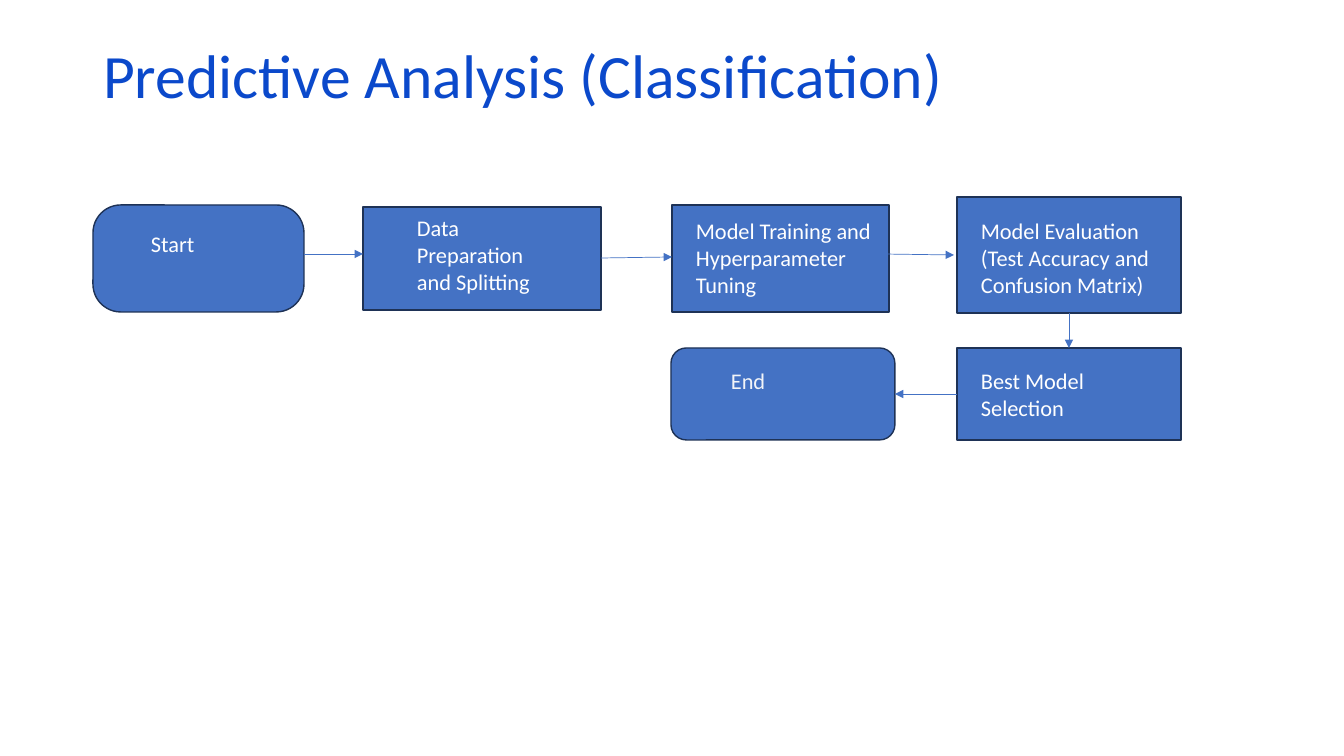
from dataclasses import dataclass

from pptx import Presentation
from pptx import util as u
from pptx.dml.color import RGBColor
from pptx.enum import shapes, text
from pptx.oxml import ns
from lxml import etree

PX = 914400 / 100.8  # EMU in one px
RECT = shapes.MSO_SHAPE.RECTANGLE
ROUND = shapes.MSO_SHAPE.ROUNDED_RECTANGLE


@dataclass(frozen=True)
class Theme:
    font: str = "Calibri"
    title_size: int = 44
    label_size: int = 16
    title: str = "0B49CB"
    fill: str = "4472C4"
    outline: str = "1E3256"
    label: str = "FFFFFF"
    end_label: str = "F2F4F8"


def px(*lengths):
    return [u.Emu(round(length * PX)) for length in lengths]


def rgb(value):
    return RGBColor.from_string(value)


class FlowSlide:
    def __init__(self, deck, theme):
        self.theme = theme
        self.page = deck.slides.add_slide(deck.slide_layouts[5])

    def set_words(self, frame, words, size, colour):
        frame.word_wrap = True
        frame.vertical_anchor = text.MSO_ANCHOR.TOP
        frame.text = words
        para = frame.paragraphs[0]
        para.alignment = text.PP_ALIGN.LEFT
        for span in para.runs:
            span.font.name = self.theme.font
            span.font.size = u.Pt(size)
            span.font.color.rgb = rgb(colour)
        return para

    def title(self, words, area):
        box = self.page.shapes.title
        box.left, box.top, box.width, box.height = px(*area)
        para = self.set_words(box.text_frame, words, self.theme.title_size, self.theme.title)
        para.line_spacing = 0.9
        box.text_frame.auto_size = text.MSO_AUTO_SIZE.NONE

    def box(self, kind, area, corner=None):
        box = self.page.shapes.add_shape(kind, *px(*area))
        box.shadow.inherit = False
        box.fill.solid()
        box.fill.fore_color.rgb = rgb(self.theme.fill)
        box.line.color.rgb = rgb(self.theme.outline)
        box.line.width = u.Pt(1)
        if corner is not None:
            box.adjustments[0] = corner

    def label(self, words, area, colour):
        box = self.page.shapes.add_textbox(*px(*area))
        self.set_words(box.text_frame, words, self.theme.label_size, colour)

    def arrow(self, *ends):
        line = self.page.shapes.add_connector(shapes.MSO_CONNECTOR.STRAIGHT, *px(*ends))
        line.line.color.rgb = rgb(self.theme.fill)
        line.line.width = u.Pt(0.5)
        outline = line._element.spPr.find(ns.qn("a:ln"))
        etree.SubElement(outline, ns.qn("a:tailEnd"), type="triangle")
        etree.SubElement(line._element.spPr, ns.qn("a:effectLst"))


def main():
    deck = Presentation()
    deck.slide_width, deck.slide_height = px(1344, 756)
    theme = Theme()
    flow = FlowSlide(deck, theme)
    flow.title("Predictive Analysis (Classification)", (93, 40, 1159, 146))

    # Steps: words, shape, box area, label area, corner, label colour
    steps = [
        ("Start", ROUND, (93, 205, 211, 107), (141, 225, 156, 37), 0.26, theme.label),
        ("Data Preparation and Splitting", RECT,
         (363, 207, 238, 103), (407, 209, 149, 92), None, theme.label),
        ("Model Training and Hyperparameter Tuning", RECT,
         (672, 205, 217, 107), (686, 212, 196, 92), None, theme.label),
        ("Model Evaluation (Test Accuracy and Confusion Matrix)", RECT,
         (957, 197, 224, 116), (971, 212, 205, 92), None, theme.label),
        ("Best Model Selection", RECT,
         (957, 348, 224, 92), (971, 362, 196, 95), None, theme.label),
        ("End", ROUND, (671, 348, 224, 92), (721, 362, 161, 37), None, theme.end_label),
    ]
    for words, kind, area, label_area, corner, colour in steps:
        flow.box(kind, area, corner)
        flow.label(words, label_area, colour)

    # Arrows from each step to the next
    for ends in [
        (304, 254, 363, 254),
        (601, 258, 672, 257),
        (882, 254, 954, 255),
        (1069, 313, 1069, 348),
        (957, 394, 895, 394),
    ]:
        flow.arrow(*ends)

    deck.save("out.pptx")


if __name__ == "__main__":
    main()
